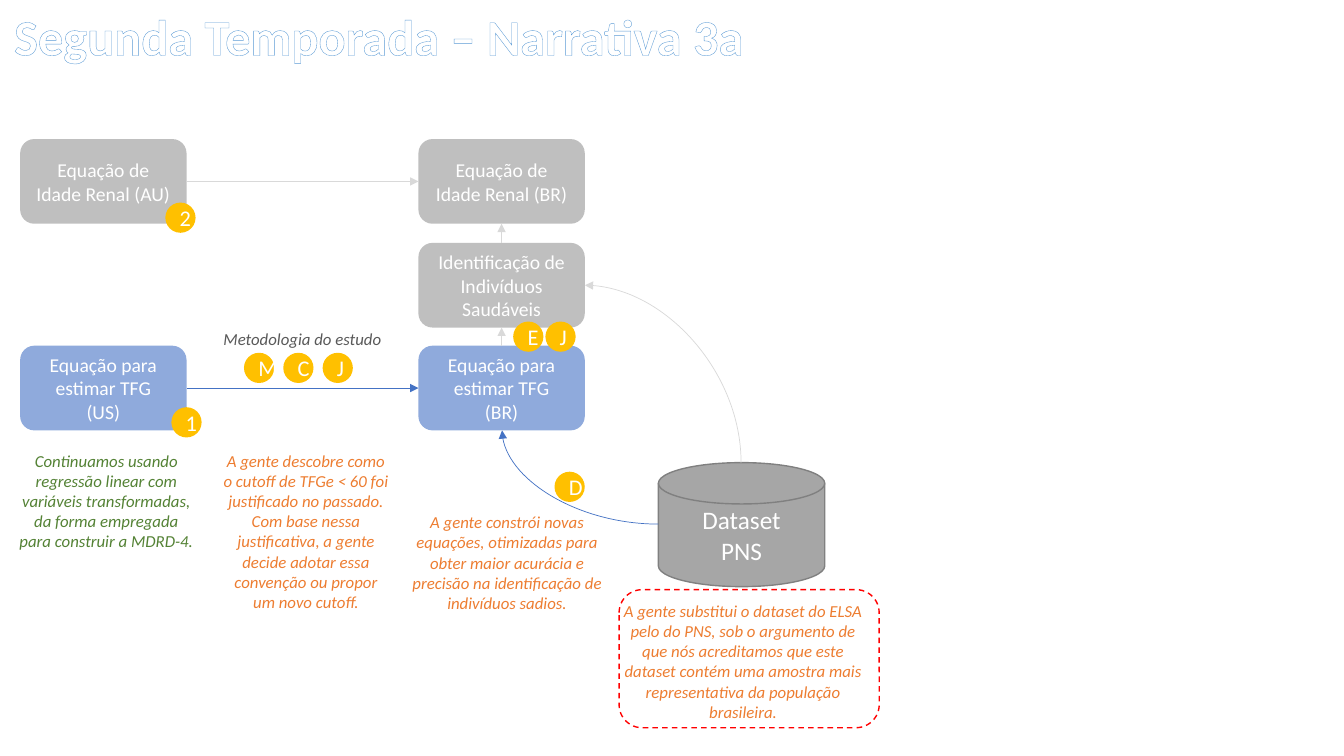
from lxml import etree
from pptx import Presentation
from pptx import util as u
from pptx.dml.color import RGBColor
from pptx.enum import dml, shapes, text
from pptx.oxml.ns import qn

TITLE = "Segunda Temporada – Narrativa 3a"
BOXES = {
    "age_au": (0, 0, "Equação de Idade Renal (AU)", "gray"),
    "age_br": (1, 0, "Equação de Idade Renal (BR)", "gray"),
    "healthy": (1, 1, "Identificação de Indivíduos Saudáveis", "gray"),
    "rate_us": (0, 2, "Equação para estimar TFG\n(US)", "blue"),
    "rate_br": (1, 2, "Equação para estimar TFG\n(BR)", "blue"),
}
JOINS = [
    ("age_au", 3, "age_br", 1, "pale"),
    ("healthy", 0, "age_br", 2, "pale"),
    ("rate_br", 0, "healthy", 2, "pale"),
    ("rate_us", 3, "rate_br", 1, "navy"),
]
CURVES = [
    (6.53, 5.2, 4.98, 4.27, "navy", "tailEnd"),
    (5.8, 2.83, 7.35, 4.59, "pale", "headEnd"),
]
DISK = "Dataset\nPNS"
BADGES = [
    ("1", 1.7, 4.04), ("2", 1.64, 2.01), ("M", 2.42, 3.5), ("C", 2.81, 3.5),
    ("J", 3.2, 3.5), ("D", 5.5, 4.68), ("E", 5.09, 3.19), ("J", 5.41, 3.19),
]
NOTES = [
    ("Continuamos usando regressão linear com variáveis transformadas, "
     "da forma empregada para construir a MDRD-4.", 0.07, 4.42, 1.97, 1.11, "green"),
    ("A gente descobre como o cutoff de TFGe < 60 foi justificado no passado. "
     "Com base nessa justificativa, a gente decide adotar essa convenção "
     "ou propor um novo cutoff.", 2.1, 4.42, 1.87, 1.72, "orange"),
    ("A gente constrói novas equações, otimizadas para obter maior acurácia e "
     "precisão na identificação de indivíduos sadios.", 3.93, 5.03, 2.2, 1.11, "orange"),
    ("A gente substitui o dataset do ELSA pelo do PNS, sob o argumento de que "
     "nós acreditamos que este dataset contém uma amostra mais representativa "
     "da população brasileira.", 6.08, 5.91, 2.58, 1.31, "orange"),
    ("Metodologia do estudo", 1.87, 3.21, 2.26, 0.3, "dark"),
]
COLS = (0.2, 4.15)
ROWS = (1.38, 2.41, 3.43)


class Theme:
    font = "Calibri"
    title, disk, badge, box, note = 36, 18, 16, 14, 12
    color = {
        "white": "FFFFFF", "gray": "BFBFBF", "blue": "8FAADC", "pale": "D9D9D9",
        "navy": "4472C4", "steel": "A6A6A6", "rim": "808080", "gold": "FFC000",
        "green": "548235", "orange": "ED7D31", "dark": "595959", "red": "FF0000",
        "sky": "9DC3E6", "edge": "5B9BD5",
    }


def tint(name):
    return RGBColor.from_string(Theme.color[name])


def area(*sides):
    return [u.Inches(side) for side in sides]


def write(frame, words, size, color, italic=False):
    frame.text = words
    frame.word_wrap = True
    for par in frame.paragraphs:
        par.alignment = text.PP_ALIGN.CENTER
        par.font.name = Theme.font
        par.font.size = u.Pt(size)
        par.font.italic = italic
        par.font.color.rgb = tint(color)


def draw(slide, kind, place, fill=None, line=None):
    item = slide.shapes.add_shape(kind, *area(*place))
    item.shadow.inherit = False
    if fill:
        item.fill.solid()
        item.fill.fore_color.rgb = tint(fill)
    else:
        item.fill.background()
    if line:
        item.line.color.rgb = tint(line)
        item.line.width = u.Pt(1)
    else:
        item.line.fill.background()
    return item


def label(item, words, size):
    write(item.text_frame, words, size, "white")
    item.text_frame.vertical_anchor = text.MSO_ANCHOR.MIDDLE


def link(slide, kind, ends, color, tip):
    line = slide.shapes.add_connector(kind, *area(*ends))
    line.line.color.rgb = tint(color)
    line.line.width = u.Pt(0.5)
    etree.SubElement(line.line._get_or_add_ln(), qn("a:" + tip), type="triangle")
    etree.SubElement(line._element.spPr, qn("a:effectLst"))
    return line


def paint(parent, name, color):
    node = etree.SubElement(parent, qn("a:" + name))
    etree.SubElement(node, qn("a:srgbClr"), val=Theme.color[color])


def head(slide):
    item = slide.shapes.title
    item.left, item.top, item.width, item.height = area(0, 0, 7.52, 0.71)
    frame = item.text_frame
    write(frame, TITLE, Theme.title, "white")
    frame.word_wrap = False
    frame.auto_size = text.MSO_AUTO_SIZE.NONE
    frame.vertical_anchor = text.MSO_ANCHOR.TOP
    frame.paragraphs[0].font.bold = True
    props = frame.paragraphs[0].runs[0]._r.get_or_add_rPr()
    edge = etree.SubElement(props, qn("a:ln"), w=str(u.Pt(1)))
    paint(edge, "solidFill", "edge")
    weave = etree.SubElement(props, qn("a:pattFill"), prst="ltDnDiag")
    paint(weave, "fgClr", "sky")
    paint(weave, "bgClr", "white")


def main():
    deck = Presentation()
    deck.slide_width, deck.slide_height = area(13.33, 7.5)
    slide = deck.slides.add_slide(deck.slide_layouts[5])
    kinds = shapes.MSO_SHAPE
    wires = shapes.MSO_CONNECTOR
    head(slide)

    disk = draw(slide, kinds.FLOWCHART_MAGNETIC_DISK, (6.53, 4.59, 1.65, 1.23), "steel", "rim")
    label(disk, DISK, Theme.disk)

    boxes = {}
    for key, (col, row, words, fill) in BOXES.items():
        place = (COLS[col], ROWS[row], 1.65, 0.84)
        boxes[key] = draw(slide, kinds.ROUNDED_RECTANGLE, place, fill)
        label(boxes[key], words, Theme.box)

    for start, out, end, into, color in JOINS:
        line = link(slide, wires.STRAIGHT, (0, 0, 1, 1), color, "tailEnd")
        line.begin_connect(boxes[start], out)
        line.end_connect(boxes[end], into)

    for *ends, color, tip in CURVES:
        line = link(slide, wires.CURVE, ends, color, tip)
        line._element.spPr.find(qn("a:prstGeom")).set("prst", "curvedConnector2")

    for words, *place, color in NOTES:
        note = slide.shapes.add_textbox(*area(*place))
        write(note.text_frame, words, Theme.note, color, True)

    frame = draw(slide, kinds.ROUNDED_RECTANGLE, (6.14, 5.85, 2.58, 1.37), line="red")
    frame.line.dash_style = dml.MSO_LINE.DASH

    for words, left, top in BADGES:
        badge = draw(slide, kinds.OVAL, (left, top, 0.3, 0.3), "gold")
        label(badge, words, Theme.badge)

    deck.save("out.pptx")


if __name__ == "__main__":
    main()
